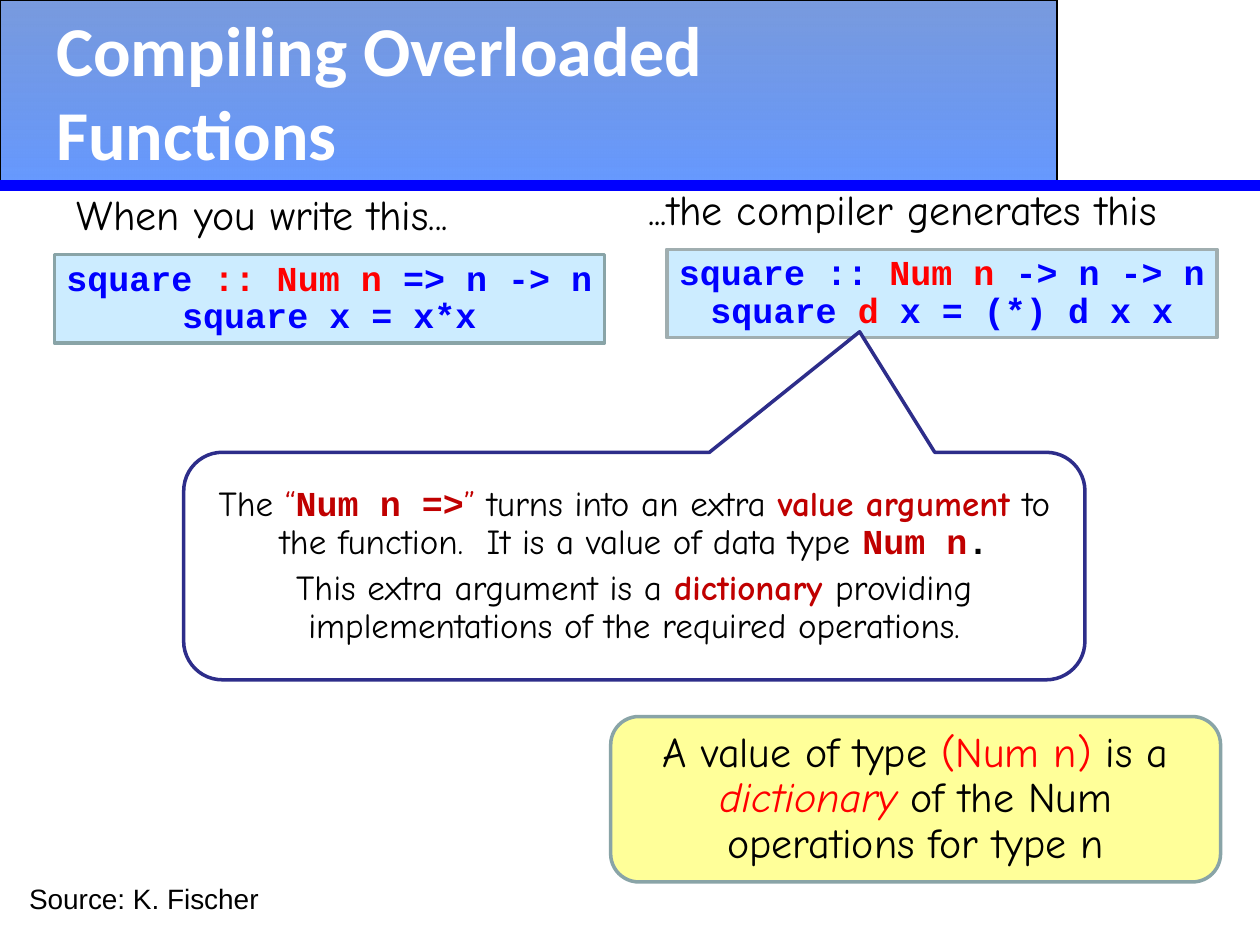
from dataclasses import dataclass
from typing import NamedTuple

from lxml import etree
from pptx import Presentation
from pptx.dml.color import RGBColor
from pptx.enum import shapes, text
from pptx.oxml import ns
from pptx.util import Pt


class Box(NamedTuple):
    left: float
    top: float
    width: float
    height: float

    def lengths(self):
        return [Pt(value) for value in self]


@dataclass(frozen=True)
class Theme:
    white: str = "FFFFFF"
    ink: str = "000000"
    band_top: str = "5681D7"
    band_bottom: str = "6699FF"
    blue: str = "0000FF"
    red: str = "FF0000"
    dark_red: str = "C00000"
    code_fill: str = "CCECFF"
    teal: str = "89A4A7"
    grey: str = "A0AEB0"
    navy: str = "2D2D8A"
    yellow: str = "FFFF99"
    heading: str = "Calibri"
    body: str = "Comic Neue"
    code: str = "Courier New"
    plain: str = "Arial"
    title_size: int = 40
    large: int = 24
    medium: int = 20
    small: int = 16


THEME = Theme()
RED = {"color": THEME.red}
DARK = {"color": THEME.dark_red}
STRONG = {**DARK, "bold": True}
CODE = {"name": THEME.code, "bold": True}


def style_font(font, name=None, size=None, color=None, bold=None, italic=None):
    if name:
        font.name = name
    if size:
        font.size = Pt(size)
    if color:
        font.color.rgb = RGBColor.from_string(color)
    if bold is not None:
        font.bold = bold
    if italic is not None:
        font.italic = italic


def write(frame, paragraphs, style, wrap=True, anchor=text.MSO_ANCHOR.TOP, gap=0):
    frame.word_wrap = wrap
    frame.auto_size = text.MSO_AUTO_SIZE.NONE
    frame.vertical_anchor = anchor
    for index, runs in enumerate(paragraphs):
        paragraph = frame.add_paragraph() if index else frame.paragraphs[0]
        paragraph.alignment = text.PP_ALIGN.CENTER
        paragraph.line_spacing = 0.9
        if index and gap:
            paragraph.space_before = Pt(gap)
        style_font(paragraph.font, **style)
        for words, changes in runs:
            run = paragraph.add_run()
            run.text = words
            style_font(run.font, **changes)


def add_panel(slide, preset, box, fill, border):
    panel = slide.shapes.add_shape(preset, *box.lengths())
    panel.shadow.inherit = False
    panel.fill.solid()
    panel.fill.fore_color.rgb = RGBColor.from_string(fill)
    panel.line.color.rgb = RGBColor.from_string(border)
    panel.line.width = Pt(2)
    return panel


def add_label(slide, box, words, name, size):
    label = slide.shapes.add_textbox(*box.lengths())
    style = {"name": name, "size": size, "color": THEME.ink}
    write(label.text_frame, [[(words, {})]], style, wrap=False)


def add_header(slide, box, words):
    band = slide.shapes.add_shape(
        shapes.MSO_SHAPE.RECTANGLE, *box._replace(width=604).lengths())
    band.shadow.inherit = False
    band.line.color.rgb = RGBColor.from_string(THEME.ink)
    band.line.width = Pt(0.75)
    band.fill.gradient()
    band.fill.gradient_angle = 270
    for stop, color in zip(band.fill.gradient_stops, (THEME.band_top, THEME.band_bottom)):
        stop.color.rgb = RGBColor.from_string(color)
    top_color = next(band._element.spPr.iter(ns.qn("a:srgbClr")))
    etree.SubElement(top_color, ns.qn("a:alpha"), val="79000")

    bottom = box.top + box.height
    rule = slide.shapes.add_connector(
        shapes.MSO_CONNECTOR.STRAIGHT,
        Pt(box.left), Pt(bottom), Pt(box.left + box.width), Pt(bottom))
    rule.line.color.rgb = RGBColor.from_string(THEME.blue)
    rule.line.width = Pt(6)
    etree.SubElement(rule._element.spPr, ns.qn("a:effectLst"))

    title = slide.shapes.title
    title.left, title.top, title.width, title.height = Box(
        box.left + 25, box.top + 9.5, 544, 85).lengths()
    frame = title.text_frame
    frame.text = words
    frame.word_wrap = True
    frame.auto_size = text.MSO_AUTO_SIZE.NONE
    frame.vertical_anchor = text.MSO_ANCHOR.MIDDLE
    heading = frame.paragraphs[0]
    heading.alignment = text.PP_ALIGN.LEFT
    style_font(heading.font, THEME.heading, THEME.title_size, THEME.white, True)
    slide.shapes._spTree.append(title._element)


def add_code_example(slide, box, caption, outdent, caption_width, lines, border):
    add_label(slide, Box(box.left - outdent, box.top - 38, caption_width, 33),
              caption, THEME.body, THEME.large)
    listing = add_panel(slide, shapes.MSO_SHAPE.RECTANGLE, box, THEME.code_fill, border)
    style = {**CODE, "size": THEME.medium, "color": THEME.blue}
    write(listing.text_frame, lines, style, wrap=False)


def add_explanation(slide, box, paragraphs):
    callout = add_panel(slide, shapes.MSO_SHAPE.ROUNDED_RECTANGULAR_CALLOUT, box,
                        THEME.white, THEME.navy)
    for index, value in enumerate((0.25, -1.03, 0.17)):
        callout.adjustments[index] = value
    style = {"name": THEME.body, "size": THEME.medium, "color": THEME.ink}
    write(callout.text_frame, paragraphs, style, anchor=text.MSO_ANCHOR.MIDDLE, gap=5)


def add_takeaway(slide, box, runs):
    note = add_panel(slide, shapes.MSO_SHAPE.ROUNDED_RECTANGLE, box,
                     THEME.yellow, THEME.teal)
    note.adjustments[0] = 0.17
    style = {"name": THEME.body, "size": THEME.large, "color": THEME.ink}
    write(note.text_frame, [runs], style, anchor=text.MSO_ANCHOR.MIDDLE)


def main():
    deck = Presentation()
    deck.slide_width, deck.slide_height = Pt(720), Pt(540)
    slide = deck.slides.add_slide(deck.slide_layouts.get_by_name("Title Only"))

    add_header(slide, Box(0, 0, 720, 106), "Compiling Overloaded Functions")
    add_code_example(
        slide, Box(31, 145.5, 314.5, 50.5), "When you write this...", 10, 258,
        [[("square ", {}), (":: Num n ", RED), ("=> n -> n", {})],
         [("square x = x*x", {})]],
        THEME.teal)
    add_code_example(
        slide, Box(381, 142.5, 314.5, 50.5), "...the compiler generates this", 37, 343.5,
        [[("square :: ", {}), ("Num n ", RED), ("-> n -> n", {})],
         [("square ", {}), ("d", RED), (" x = (*) d x x", {})]],
        THEME.grey)
    add_explanation(
        slide, Box(105, 258.5, 515, 130),
        [[("The ", {}), ("“", DARK), ("Num n =>", {**CODE, **DARK}), ("”", DARK),
          (" turns into an extra ", {}), ("value argument ", STRONG),
          ("to the function.  It is a value of data type ", {}),
          ("Num n", {**CODE, **DARK}), (".", CODE)],
         [("This extra argument is a ", {}), ("dictionary ", STRONG),
          ("providing implementations of the required operations.", {})]])
    add_takeaway(
        slide, Box(349, 409.5, 348.5, 94.5),
        [("A value of type ", {}), ("(Num n) ", RED), ("is a ", {}),
         ("dictionary", {**RED, "italic": True}),
         (" of the Num operations for type n", {})])
    add_label(slide, Box(9.5, 502.5, 145.5, 24.5), "Source: K. Fischer",
              THEME.plain, THEME.small)

    deck.save("out.pptx")


if __name__ == "__main__":
    main()
